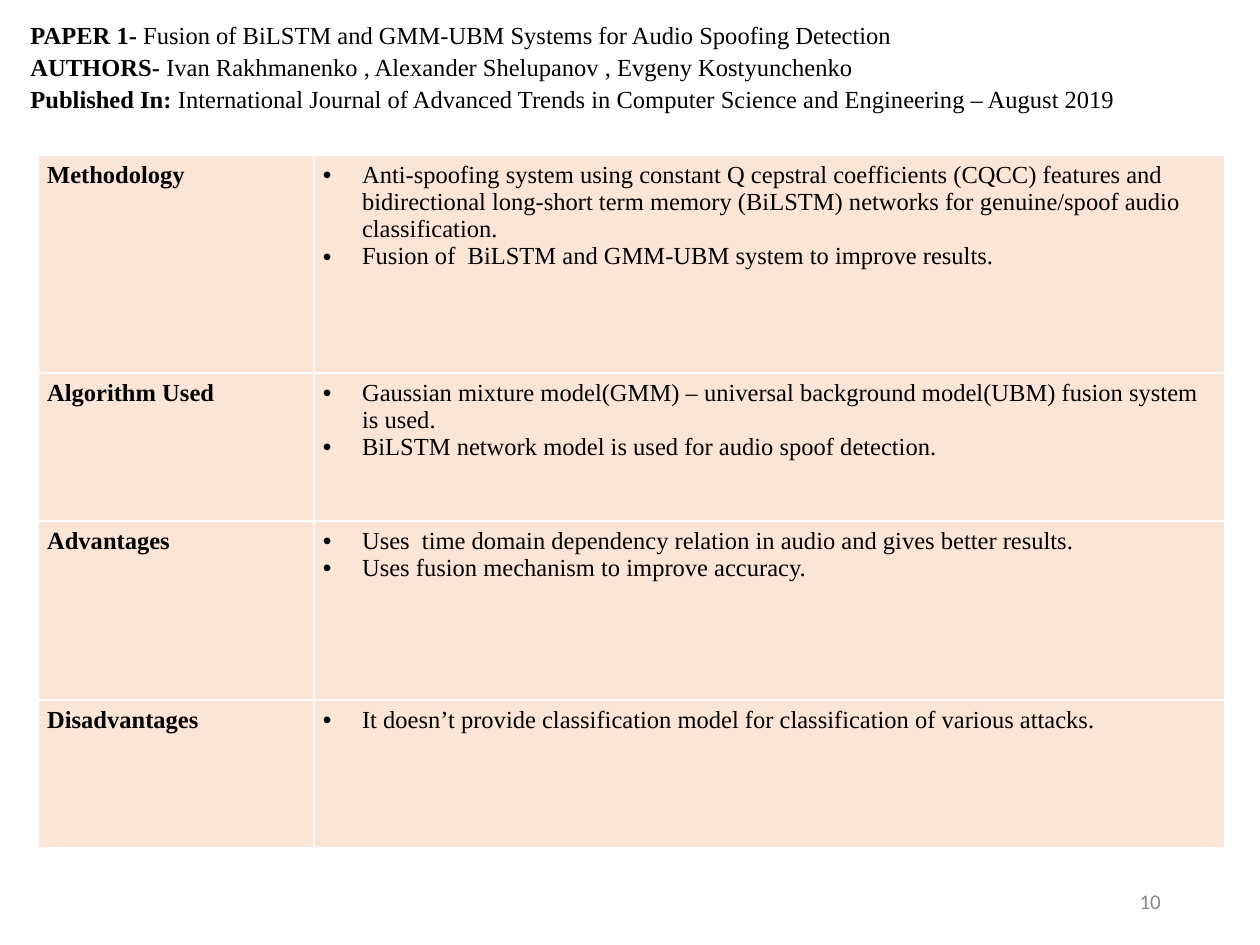
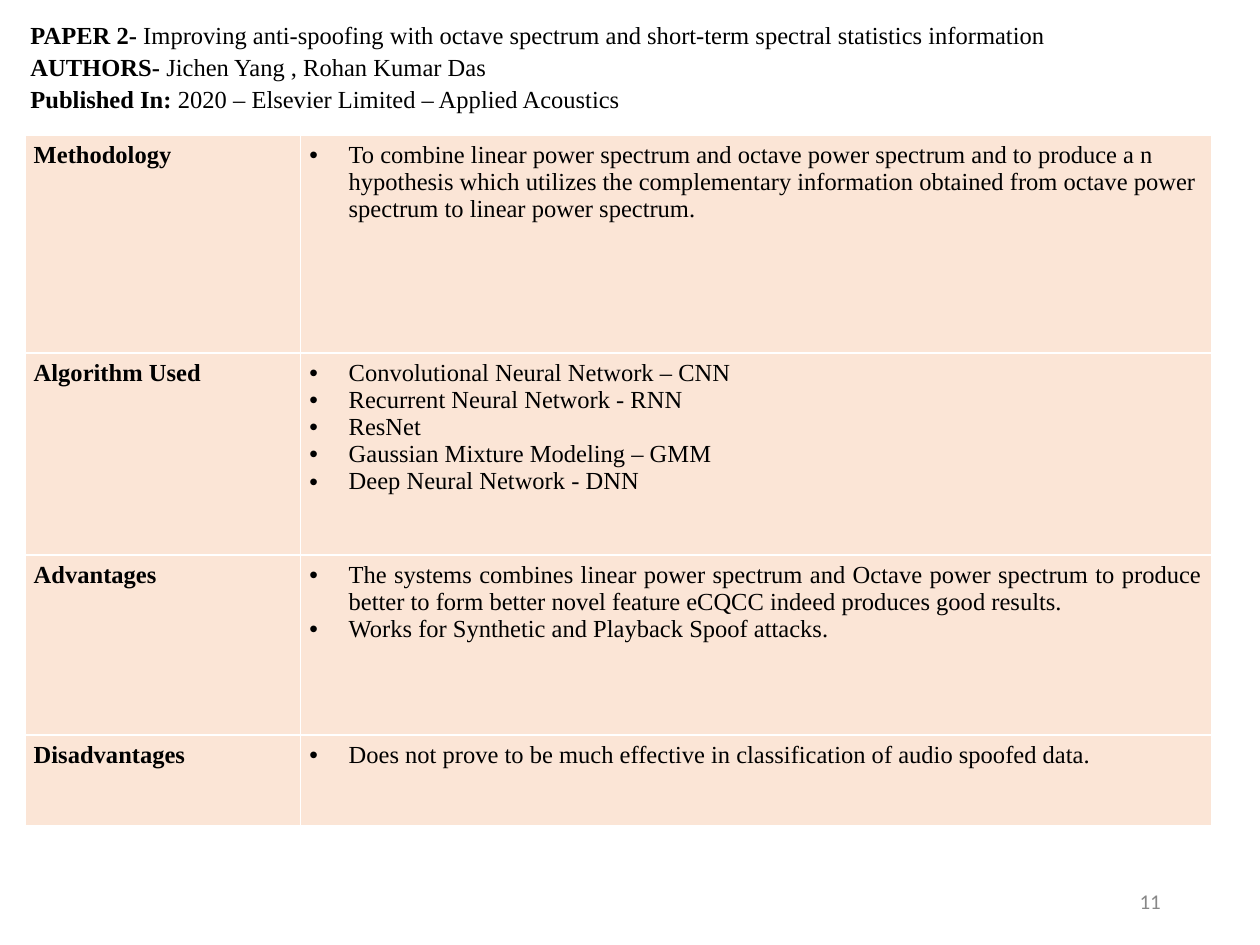
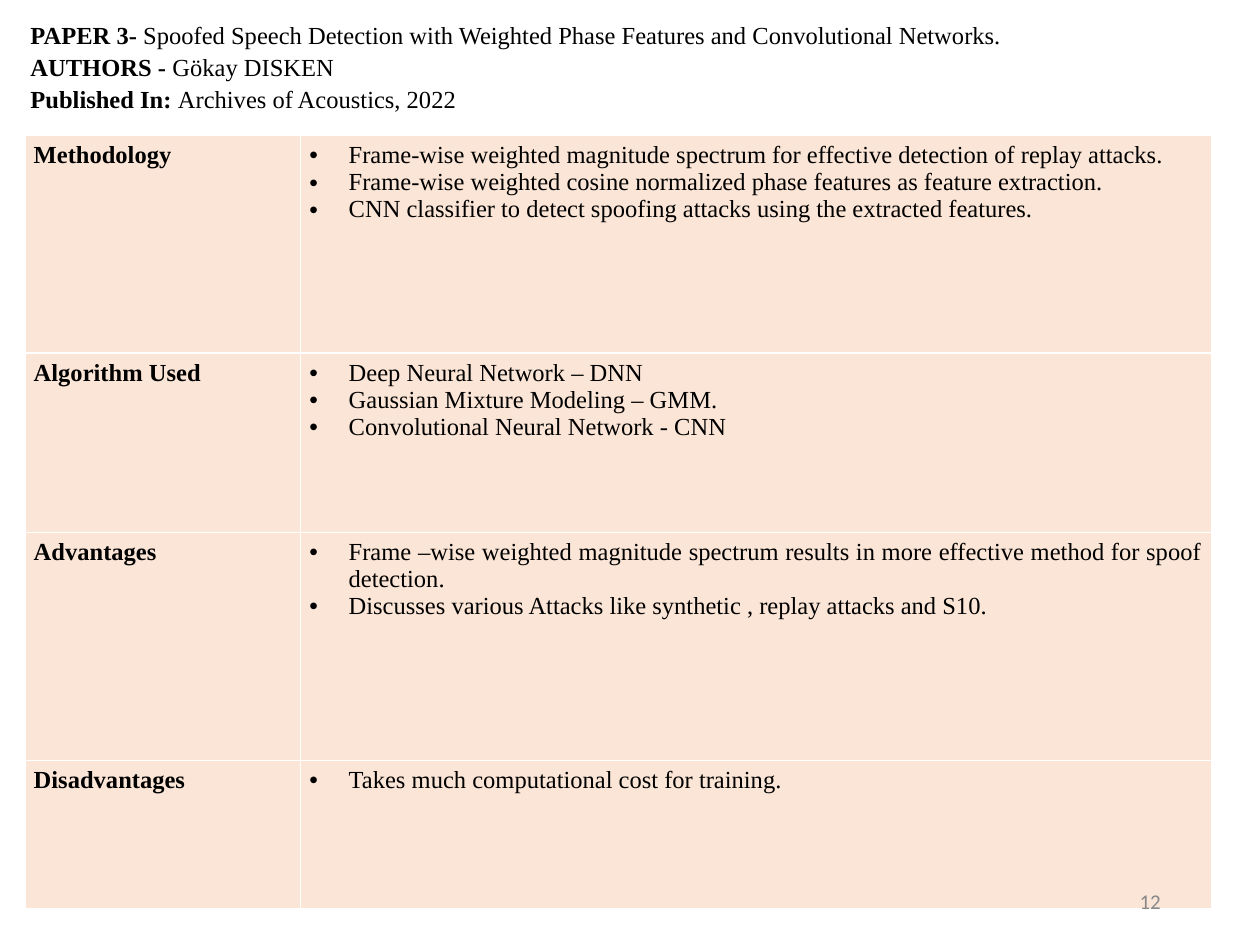
from lxml.etree import SubElement
from pptx import Presentation
from pptx.dml.color import RGBColor
from pptx.enum.text import MSO_ANCHOR, MSO_AUTO_SIZE, PP_ALIGN
from pptx.oxml.ns import qn
from pptx.util import Cm, Pt

BLACK = RGBColor(0x00, 0x00, 0x00)
GREY = RGBColor(0x88, 0x88, 0x88)
PEACH = RGBColor(0xFB, 0xE5, 0xD6)
TEXT_FONT = "Times New Roman"
NUMBER_FONT = "Calibri"
TEXT_SIZE = Pt(14)
TITLE_ONLY = 5
FIRST_NUMBER = 10
COLUMN_WIDTHS = (5.56, 18.36)
ROW_LABELS = ("Methodology", "Algorithm Used", "Advantages", "Disadvantages")

PAPERS = [
    {
        "heading": [
            ("PAPER 1-", " Fusion of BiLSTM and GMM-UBM Systems for Audio Spoofing Detection"),
            ("AUTHORS- ", "Ivan Rakhmanenko , Alexander Shelupanov , Evgeny Kostyunchenko"),
            ("Published In: ", "International Journal of Advanced Trends in Computer Science "
                               "and Engineering – August 2019"),
        ],
        "table_corner": (0.77, 3.13),
        "row_heights": (4.39, 2.98, 3.61, 2.98),
        "points": [
            ["Anti-spoofing system using constant Q cepstral coefficients (CQCC) features and "
             "bidirectional long-short term memory (BiLSTM) networks for genuine/spoof audio "
             "classification.",
             "Fusion of  BiLSTM and GMM-UBM system to improve results."],
            ["Gaussian mixture model(GMM) – universal background model(UBM) fusion system is used.",
             "BiLSTM network model is used for audio spoof detection."],
            ["Uses  time domain dependency relation in audio and gives better results.",
             "Uses fusion mechanism to improve accuracy."],
            ["It doesn’t provide classification model for classification of various attacks."],
        ],
    },
    {
        "heading": [
            ("PAPER 2-", " Improving anti-spoofing with octave spectrum and short-term spectral "
                         "statistics information"),
            ("AUTHORS- ", "Jichen Yang , Rohan Kumar Das"),
            ("Published In: ", "2020 – Elsevier Limited – Applied Acoustics"),
        ],
        "table_corner": (0.5, 2.73),
        "row_heights": (4.39, 4.07, 3.63, 1.83),
        "points": [
            ["To combine linear power spectrum and octave power spectrum and to produce a n "
             "hypothesis which utilizes the complementary information obtained from octave power "
             "spectrum to linear power spectrum."],
            ["Convolutional Neural Network – CNN",
             "Recurrent Neural Network - RNN",
             "ResNet",
             "Gaussian Mixture Modeling – GMM",
             "Deep Neural Network - DNN"],
            ["The systems combines linear power spectrum and Octave power spectrum to produce "
             "better to form better novel feature eCQCC indeed produces good results.",
             "Works for Synthetic and Playback Spoof attacks."],
            ["Does not prove to be much effective in classification of audio spoofed data."],
        ],
    },
    {
        "heading": [
            ("PAPER 3-", " Spoofed Speech Detection with Weighted Phase Features and "
                         "Convolutional Networks."),
            ("AUTHORS - ", "Gökay DISKEN"),
            ("Published In: ", "Archives of Acoustics, 2022"),
        ],
        "table_corner": (0.5, 2.73),
        "row_heights": (4.39, 3.61, 4.6, 3),
        "points": [
            ["Frame-wise weighted magnitude spectrum for effective detection of replay attacks.",
             "Frame-wise weighted cosine normalized phase features as feature extraction.",
             "CNN classifier to detect spoofing attacks using the extracted features."],
            ["Deep Neural Network – DNN",
             "Gaussian Mixture Modeling – GMM.",
             "Convolutional Neural Network - CNN"],
            ["Frame –wise weighted magnitude spectrum results in more effective method for spoof "
             "detection.",
             "Discusses various Attacks like synthetic , replay attacks and S10."],
            ["Takes much computational cost for training."],
        ],
    },
]


def add_span(para, text, bold=False, font=TEXT_FONT, size=TEXT_SIZE, color=BLACK):
    span = para.add_run()
    span.text = text
    span.font.name = font
    span.font.size = size
    span.font.bold = bold
    span.font.color.rgb = color


def add_bullet(para):
    properties = para._p.get_or_add_pPr()
    properties.set("marL", str(Cm(0.79)))
    properties.set("indent", str(-Cm(0.79)))
    SubElement(properties, qn("a:buFont"), typeface="Arial")
    SubElement(properties, qn("a:buChar"), char="•")


deck = Presentation()
deck.slide_width = Cm(25.4)
deck.slide_height = Cm(19.05)

for number, paper in enumerate(PAPERS, FIRST_NUMBER):
    page = deck.slides.add_slide(deck.slide_layouts[TITLE_ONLY])

    title = page.shapes.title
    title.left, title.top, title.width, title.height = Cm(0.36), Cm(0.23), Cm(24.6), Cm(2.4)
    frame = title.text_frame
    frame.auto_size = MSO_AUTO_SIZE.NONE
    frame.vertical_anchor = MSO_ANCHOR.TOP
    for index, (label, detail) in enumerate(paper["heading"]):
        para = frame.add_paragraph() if index else frame.paragraphs[0]
        para.alignment = PP_ALIGN.JUSTIFY
        para.line_spacing = 1.08
        add_span(para, label, bold=True)
        add_span(para, detail)

    left, top = paper["table_corner"]
    table = page.shapes.add_table(
        len(ROW_LABELS), len(COLUMN_WIDTHS), Cm(left), Cm(top),
        Cm(sum(COLUMN_WIDTHS)), Cm(sum(paper["row_heights"]))).table
    table.first_row = False
    table.horz_banding = False
    for column, width in zip(table.columns, COLUMN_WIDTHS):
        column.width = Cm(width)
    for row, height, label, points in zip(
            table.rows, paper["row_heights"], ROW_LABELS, paper["points"]):
        row.height = Cm(height)
        for cell in row.cells:
            cell.fill.solid()
            cell.fill.fore_color.rgb = PEACH
            cell.margin_left = cell.margin_right = Cm(0.18)
            cell.margin_top = cell.margin_bottom = Cm(0.13)
        label_cell, points_cell = row.cells
        add_span(label_cell.text_frame.paragraphs[0], label, bold=True)
        frame = points_cell.text_frame
        for index, point in enumerate(points):
            para = frame.add_paragraph() if index else frame.paragraphs[0]
            add_bullet(para)
            if label == "Advantages":
                para.alignment = PP_ALIGN.JUSTIFY
            add_span(para, point)

    number_box = page.shapes.add_textbox(Cm(17.93), Cm(17.65), Cm(5.72), Cm(1.02))
    frame = number_box.text_frame
    frame.word_wrap = True
    frame.vertical_anchor = MSO_ANCHOR.MIDDLE
    para = frame.paragraphs[0]
    para.alignment = PP_ALIGN.RIGHT
    add_span(para, str(number), font=NUMBER_FONT, size=Pt(12), color=GREY)

deck.save("out.pptx")
